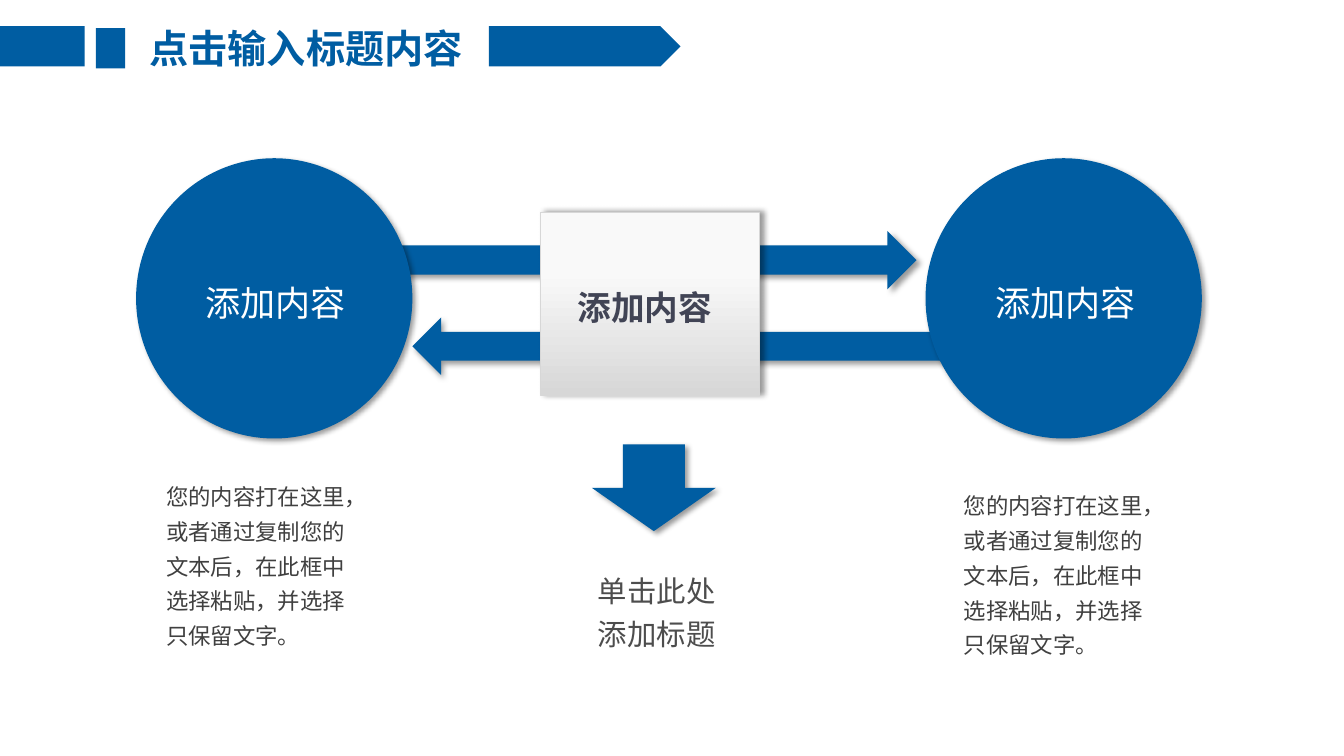
from lxml import etree
from pptx import Presentation
from pptx.dml.color import RGBColor
from pptx.enum.shapes import MSO_SHAPE
from pptx.enum.text import MSO_ANCHOR, MSO_AUTO_SIZE, PP_ALIGN
from pptx.oxml.ns import qn
from pptx.util import Inches, Pt

TITLE = "点击输入标题内容"
LABEL = "添加内容"
NOTE = "您的内容打在这里，或者通过复制您的文本后，在此框中选择粘贴，并选择只保留文字。"
CAPTION = "单击此处添加标题"

FONT = "Noto Sans CJK SC"
BLUE = RGBColor(0x00, 0x5D, 0xA2)
WHITE = RGBColor(0xFF, 0xFF, 0xFF)
PALE = RGBColor(0xF9, 0xF9, 0xF9)
SILVER = RGBColor(0xD7, 0xD7, 0xD7)
SLATE = RGBColor(0x41, 0x44, 0x55)
GREY = RGBColor(0x40, 0x40, 0x40)
CAPTION_GREY = RGBColor(0x4D, 0x4D, 0x4D)

RECT, OVAL, PENTAGON = MSO_SHAPE.RECTANGLE, MSO_SHAPE.OVAL, MSO_SHAPE.PENTAGON
RIGHT, LEFT, DOWN = MSO_SHAPE.RIGHT_ARROW, MSO_SHAPE.LEFT_ARROW, MSO_SHAPE.DOWN_ARROW
TOP, MIDDLE = MSO_ANCHOR.TOP, MSO_ANCHOR.MIDDLE
ALIGN_LEFT, ALIGN_CENTER = PP_ALIGN.LEFT, PP_ALIGN.CENTER
FIT, FIXED = MSO_AUTO_SIZE.SHAPE_TO_FIT_TEXT, MSO_AUTO_SIZE.NONE

# Boxes are left, top, width, height in inches
BAR_TOP, BAR_H = 0.26, 0.4
BARS = [
    (PENTAGON, (4.85, BAR_TOP, 1.9, BAR_H)),
    (RECT, (0, BAR_TOP, 0.84, BAR_H)),
    (RECT, (0.95, BAR_TOP + 0.02, 0.29, BAR_H)),
]
FLOW_ARROWS = [(RIGHT, (3.9, 2.29, 5.19, 0.58)), (LEFT, (4.09, 3.15, 5.37, 0.57))]
DOWN_BOX = (5.87, 4.41, 1.23, 0.86)
CIRCLE_TOP, CIRCLE_W, CIRCLE_H = 1.57, 2.74, 2.78
CIRCLE_LEFTS = (1.35, 9.18)
CENTER_BOX = (5.36, 2.1, 2.17, 1.82)
NOTE_W, NOTE_H = 2.26, 1.93
NOTE_CORNERS = [(1.51, 4.64), (9.42, 4.73)]
CAPTION_BOX = (5.79, 5.55, 1.72, 0.99)
TITLE_BOX = (1.24, 0.19, 3.59, 0.57)


def inches(box):
    return [Inches(v) for v in box]


def add_shadow(sp, degrees):
    effects = sp._element.spPr.find(qn("a:effectLst"))
    outer = etree.SubElement(
        effects, qn("a:outerShdw"), blurRad=str(Pt(4)), dist=str(Pt(3)),
        dir=str(degrees * 60000), algn="tl", rotWithShape="0")
    color = etree.SubElement(outer, qn("a:srgbClr"), val="000000")
    etree.SubElement(color, qn("a:alpha"), val="40000")


def add_block(s, kind, box, shadow=None):
    """Add a borderless blue shape; shadow is the shadow's direction in degrees."""
    sp = s.shapes.add_shape(kind, *inches(box))
    sp.fill.solid()
    sp.fill.fore_color.rgb = BLUE
    sp.line.fill.background()
    sp.shadow.inherit = False
    if shadow is not None:
        add_shadow(sp, shadow)
    return sp


def write(sp, text, size, color, bold=False, spacing=1.0, align=ALIGN_LEFT,
          anchor=TOP, fit=FIT, inset=(0.14, 0.07), left=None):
    """Fill sp with text; left overrides the horizontal inset on that side."""
    tf = sp.text_frame
    tf.word_wrap, tf.auto_size, tf.vertical_anchor = True, fit, anchor
    tf.margin_left = Inches(inset[0] if left is None else left)
    tf.margin_right = Inches(inset[0])
    tf.margin_top = tf.margin_bottom = Inches(inset[1])
    p = tf.paragraphs[0]
    p.alignment, p.line_spacing = align, spacing
    p.space_before = Pt(0)
    r = p.add_run()
    r.text = text
    r.font.size, r.font.bold, r.font.name = Pt(size), bold, FONT
    r.font.color.rgb = color
    etree.SubElement(r._r.get_or_add_rPr(), qn("a:ea"), typeface=FONT)


def add_center(s):
    sp = add_block(s, RECT, CENTER_BOX, shadow=0)
    sp.fill.gradient()
    sp.fill.gradient_angle = 270
    for stop, position, color in zip(sp.fill.gradient_stops, (0.33, 1), (PALE, SILVER)):
        stop.position, stop.color.rgb = position, color
    sp.line.color.rgb = SILVER
    sp.line.width = Pt(0.25)
    write(sp, LABEL, 24, SLATE, bold=True, spacing=1.2, anchor=MIDDLE, fit=FIXED, left=0.37)


def main():
    prs = Presentation()
    prs.slide_width, prs.slide_height = Inches(13.33), Inches(7.5)
    s = prs.slides.add_slide(prs.slide_layouts[5])

    title = s.shapes.title
    title.left, title.top, title.width, title.height = inches(TITLE_BOX)
    write(title, TITLE, 28, BLUE, bold=True, align=ALIGN_CENTER, inset=(0.1, 0.05))
    for kind, box in BARS:
        add_block(s, kind, box)

    for kind, box in FLOW_ARROWS:
        add_block(s, kind, box, shadow=45)
    for x in CIRCLE_LEFTS:
        circle = add_block(s, OVAL, (x, CIRCLE_TOP, CIRCLE_W, CIRCLE_H), shadow=45)
        write(circle, LABEL, 25, WHITE, spacing=1.2, anchor=MIDDLE, fit=FIXED, left=0.29)
    add_center(s)
    add_block(s, DOWN, DOWN_BOX, shadow=45)

    for corner in NOTE_CORNERS:
        note = s.shapes.add_textbox(*inches((*corner, NOTE_W, NOTE_H)))
        write(note, NOTE, 16, GREY, spacing=1.3)
    caption = s.shapes.add_textbox(*inches(CAPTION_BOX))
    write(caption, CAPTION, 21, CAPTION_GREY, spacing=1.2)

    prs.save("out.pptx")


if __name__ == "__main__":
    main()
